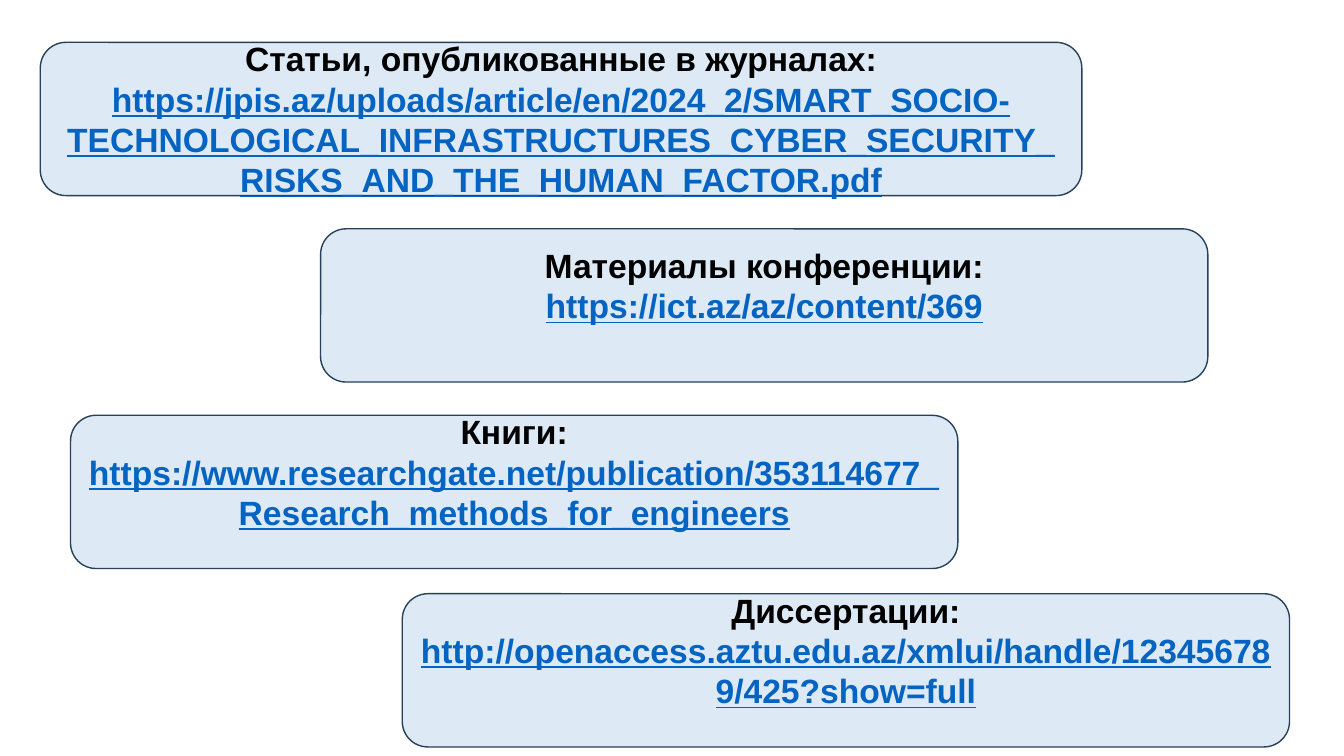
"""Builds a slide of publication links in staggered rounded cards."""
from dataclasses import dataclass

from pptx import Presentation
from pptx.dml.color import RGBColor
from pptx.enum.shapes import MSO_SHAPE
from pptx.enum.text import MSO_ANCHOR, PP_ALIGN
from pptx.util import Pt

ROUNDED = MSO_SHAPE.ROUNDED_RECTANGLE
MIDDLE = MSO_ANCHOR.MIDDLE
CENTER = PP_ALIGN.CENTER
PX = 9144
SLIDE_W, SLIDE_H = 1333, 750
CARD_H = 152
PAD_X, PAD_Y, LIFT = 10, 5, 40


@dataclass(frozen=True)
class Theme:
    """Colours and type of the slide."""
    fill: RGBColor = RGBColor(0xDD, 0xEA, 0xF6)
    outline: RGBColor = RGBColor(0x26, 0x41, 0x59)
    text: RGBColor = RGBColor(0, 0, 0)
    link: RGBColor = RGBColor(0x05, 0x63, 0xC1)
    font: str = "Arial"
    size: int = 24
    line: int = 1


THEME = Theme()

CARDS = [
    (40, 42, 1033, 0, "Статьи, опубликованные в журналах:",
     "https://jpis.az/uploads/article/en/2024_2/SMART_SOCIO-TECHNOLOGICAL_"
     "INFRASTRUCTURES_CYBER_SECURITY_RISKS_AND_THE_HUMAN_FACTOR.pdf"),
    (318, 227, 880, LIFT, "Материалы конференции:",
     "https://ict.az/az/content/369"),
    (70, 412, 880, LIFT, "Книги:",
     "https://www.researchgate.net/publication/353114677_Research_methods_for_engineers"),
    (399, 589, 880, LIFT, "Диссертации:",
     "http://openaccess.aztu.edu.az/xmlui/handle/123456789/425?show=full"),
]


def px(value):
    """Turn slide pixels into EMU."""
    return value * PX


def apply(target, values):
    """Set each named attribute on the target."""
    for name, value in values.items():
        setattr(target, name, value)


def add_run(p, text, color, underline=False):
    """Add a bold run in the given colour."""
    r = p.add_run()
    r.text = text
    apply(r.font, {"name": THEME.font, "size": Pt(THEME.size),
                   "bold": True, "underline": underline})
    r.font.color.rgb = color


def add_card(s, left, top, width, lift, heading, address):
    """Add a rounded card with a heading and a web address."""
    sp = s.shapes.add_shape(ROUNDED, px(left), px(top), px(width), px(CARD_H))
    sp.shadow.inherit = False
    sp.fill.solid()
    sp.fill.fore_color.rgb = THEME.fill
    sp.line.color.rgb = THEME.outline
    sp.line.width = Pt(THEME.line)
    tf = sp.text_frame
    apply(tf, {"word_wrap": True, "vertical_anchor": MIDDLE,
               "margin_left": px(PAD_X), "margin_right": px(PAD_X),
               "margin_top": px(PAD_Y), "margin_bottom": px(PAD_Y + lift)})
    p = tf.paragraphs[0]
    p.alignment = CENTER
    add_run(p, heading + " ", THEME.text)
    add_run(p, address, THEME.link, underline=True)


def main():
    """Build and save the slide."""
    prs = Presentation()
    apply(prs, {"slide_width": px(SLIDE_W), "slide_height": px(SLIDE_H)})
    s = prs.slides.add_slide(prs.slide_layouts[6])
    for card in CARDS:
        add_card(s, *card)
    prs.save("out.pptx")


if __name__ == "__main__":
    main()
